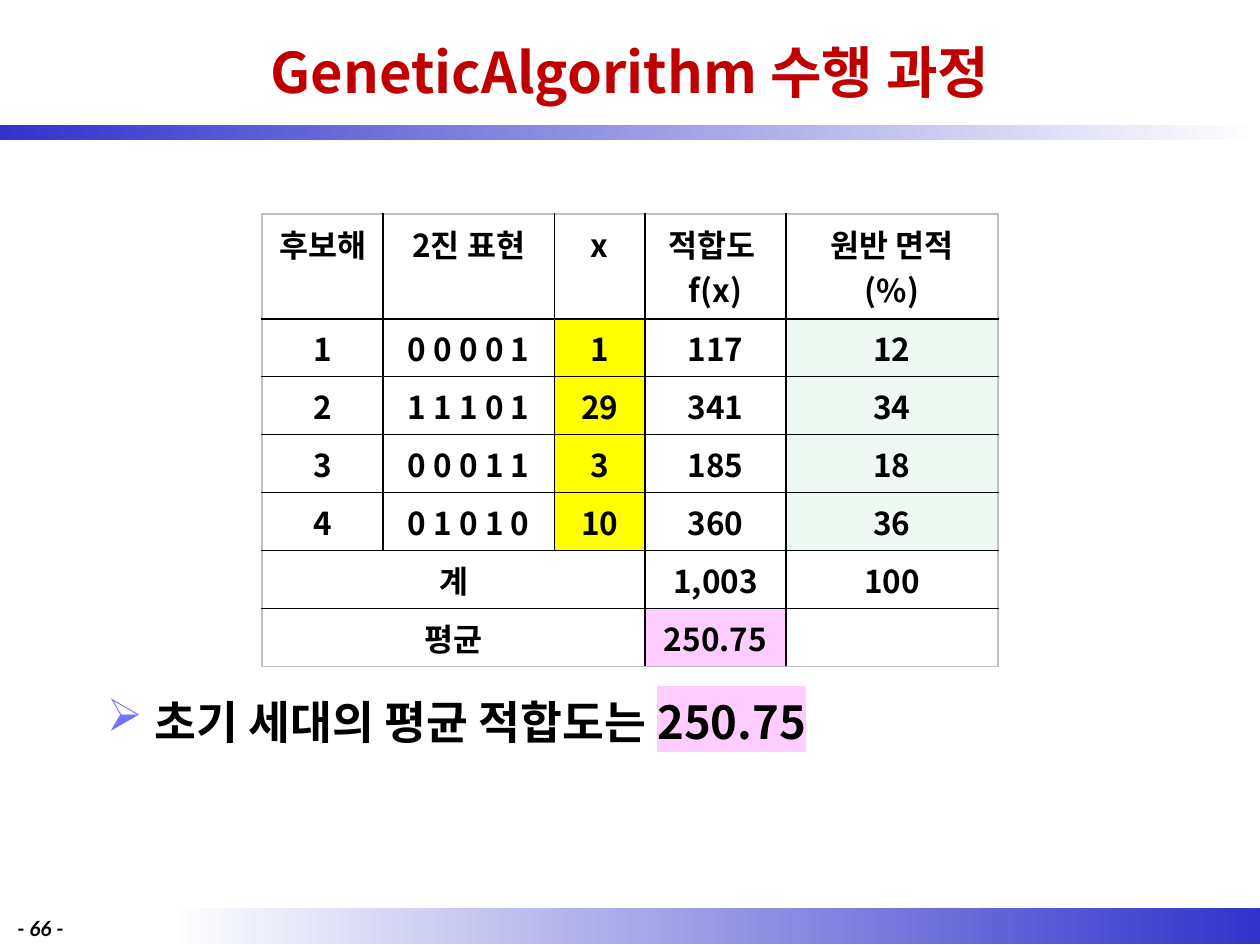
import dataclasses

import lxml.etree
import pptx
import pptx.dml.color
import pptx.enum.shapes
import pptx.enum.text
import pptx.oxml.ns
import pptx.util

Inches = pptx.util.Inches
Align = pptx.enum.text.PP_ALIGN


@dataclasses.dataclass(frozen=True)
class Theme:
    korean: str = "Noto Sans CJK KR"
    latin: str = "Lato"
    ink: str = "000000"
    white: str = "FFFFFF"
    blue: str = "3333CC"
    bullet: str = "7373FF"
    title: str = "C00000"
    frame: str = "C0C0C0"
    variable: str = "FFFF00"
    share: str = "EEF9F4"
    average: str = "FFCCFF"
    title_size: int = 32
    body_size: int = 26
    table_size: int = 18
    number_size: int = 12


def rgb(value):
    return pptx.dml.color.RGBColor.from_string(value)


def add_child(parent, tag, **attributes):
    name = pptx.oxml.ns.qn(tag)
    return lxml.etree.SubElement(parent, name, attributes)


def add_color(parent, value):
    add_child(add_child(parent, "a:solidFill"), "a:srgbClr", val=value)


class SlideBuilder:
    def __init__(self, page, theme):
        self.page = page
        self.theme = theme

    def style(self, span, size, color=None, font=None, highlight=None):
        font = font or self.theme.korean
        span.font.size = pptx.util.Pt(size)
        span.font.bold = True
        span.font.color.rgb = rgb(color or self.theme.ink)
        properties = span._r.get_or_add_rPr()
        properties.set("kern", "0")
        if highlight:
            mark = add_child(properties, "a:highlight")
            add_child(mark, "a:srgbClr", val=highlight)
        span.font.name = font
        add_child(properties, "a:ea", typeface=font)

    def band(self, left, top, width, height, start, end):
        """Draw a bar that fades from left to right."""
        bar = self.page.shapes.add_shape(
            pptx.enum.shapes.MSO_SHAPE.RECTANGLE,
            Inches(left), Inches(top), Inches(width), Inches(height))
        bar.shadow.inherit = False
        bar.line.fill.background()
        bar.fill.gradient()
        bar.fill.gradient_angle = 0
        for stop, color in zip(bar.fill.gradient_stops, (start, end)):
            stop.color.rgb = rgb(color)

    def text_box(self, left, top, width, height, text):
        box = self.page.shapes.add_textbox(
            Inches(left), Inches(top), Inches(width), Inches(height))
        box.text_frame.word_wrap = True
        box.text_frame.text = text
        return box.text_frame

    def title(self, text):
        frame = self.text_box(0.75, 0.05, 8.5, 1.03, text)
        frame.vertical_anchor = pptx.enum.text.MSO_ANCHOR.MIDDLE
        para = frame.paragraphs[0]
        para.alignment = Align.CENTER
        self.style(para.runs[0], self.theme.title_size, self.theme.title)

    def page_number(self, text):
        span = self.text_box(0.04, 7.22, 0.71, 0.24, text).paragraphs[0].runs[0]
        self.style(span, self.theme.number_size, font=self.theme.latin)
        span.font.italic = True

    def bullet(self, text, marked_text):
        para = self.text_box(0.75, 5.37, 8.5, 1.84, text).paragraphs[0]
        para.alignment = Align.JUSTIFY
        para.line_spacing = 1.2
        para.space_after = pptx.util.Pt(6)
        properties = para._p.get_or_add_pPr()
        properties.set("marL", str(Inches(0.38)))
        properties.set("indent", str(-Inches(0.38)))
        color = add_child(properties, "a:buClr")
        add_child(color, "a:srgbClr", val=self.theme.bullet)
        add_child(properties, "a:buChar", char="➢")
        self.style(para.runs[0], self.theme.body_size)
        marked = para.add_run()
        marked.text = marked_text
        self.style(marked, self.theme.body_size, highlight=self.theme.average)

    def cell_borders(self, cell, outer_sides):
        properties = cell._tc.get_or_add_tcPr()
        for index, side in enumerate("LRTB"):
            line = add_child(properties, f"a:ln{side}", w=str(pptx.util.Pt(1)))
            add_color(line, self.theme.frame if side in outer_sides else self.theme.ink)
            properties.insert(index, line)

    def table(self, left, top, widths, heights, rows, fills, merges):
        table = self.page.shapes.add_table(
            len(rows), len(widths), Inches(left), Inches(top),
            Inches(sum(widths)), Inches(sum(heights))).table
        table.first_row = table.horz_banding = False
        for column, width in zip(table.columns, widths):
            column.width = Inches(width)
        for row, height in zip(table.rows, heights):
            row.height = Inches(height)
        last_row, last_column = len(rows) - 1, len(widths) - 1
        for r, values in enumerate(rows):
            for c, value in enumerate(values):
                cell = table.cell(r, c)
                cell.text_frame.text = value
                for para in cell.text_frame.paragraphs:
                    para.alignment = Align.CENTER
                    for span in para.runs:
                        self.style(span, self.theme.table_size)
                if (r, c) in fills:
                    cell.fill.solid()
                    cell.fill.fore_color.rgb = rgb(fills[r, c])
                else:
                    cell.fill.background()
                edges = {"L": c == 0, "R": c == last_column,
                         "T": r == 0, "B": r == last_row}
                self.cell_borders(cell, [side for side in edges if edges[side]])
        for first, last in merges:
            table.cell(*first).merge(table.cell(*last))


def main():
    deck = pptx.Presentation()
    deck.slide_width, deck.slide_height = Inches(10), Inches(7.5)
    theme = Theme()
    builder = SlideBuilder(deck.slides.add_slide(deck.slide_layouts[6]), theme)

    builder.band(1.33, 7.21, 8.67, 0.28, theme.white, theme.blue)
    builder.band(0, 0.99, 10, 0.12, theme.blue, theme.white)
    builder.title("GeneticAlgorithm 수행 과정")
    builder.bullet("초기 세대의 평균 적합도는 ", "250.75")
    builder.page_number("- 66 -")

    rows = [
        ["후보해", "2진 표현", "x", "적합도 \nf(x)", "원반 면적\n(%)"],
        ["1", "0 0 0 0 1", "1", "117", "12"],
        ["2", "1 1 1 0 1", "29", "341", "34"],
        ["3", "0 0 0 1 1", "3", "185", "18"],
        ["4", "0 1 0 1 0", "10", "360", "36"],
        ["계", "", "", "1,003", "100"],
        ["평균", "", "", "250.75", ""],
    ]
    fills = {(6, 3): theme.average}
    for row in range(1, 5):
        fills[row, 2] = theme.variable
        fills[row, 4] = theme.share
    merges = [((row, 0), (row, 2)) for row in (5, 6)]
    builder.table(2.08, 1.7, [0.96, 1.36, 0.72, 1.12, 1.68],
                  [0.83] + [0.46] * 6, rows, fills, merges)
    deck.save("out.pptx")


if __name__ == "__main__":
    main()
